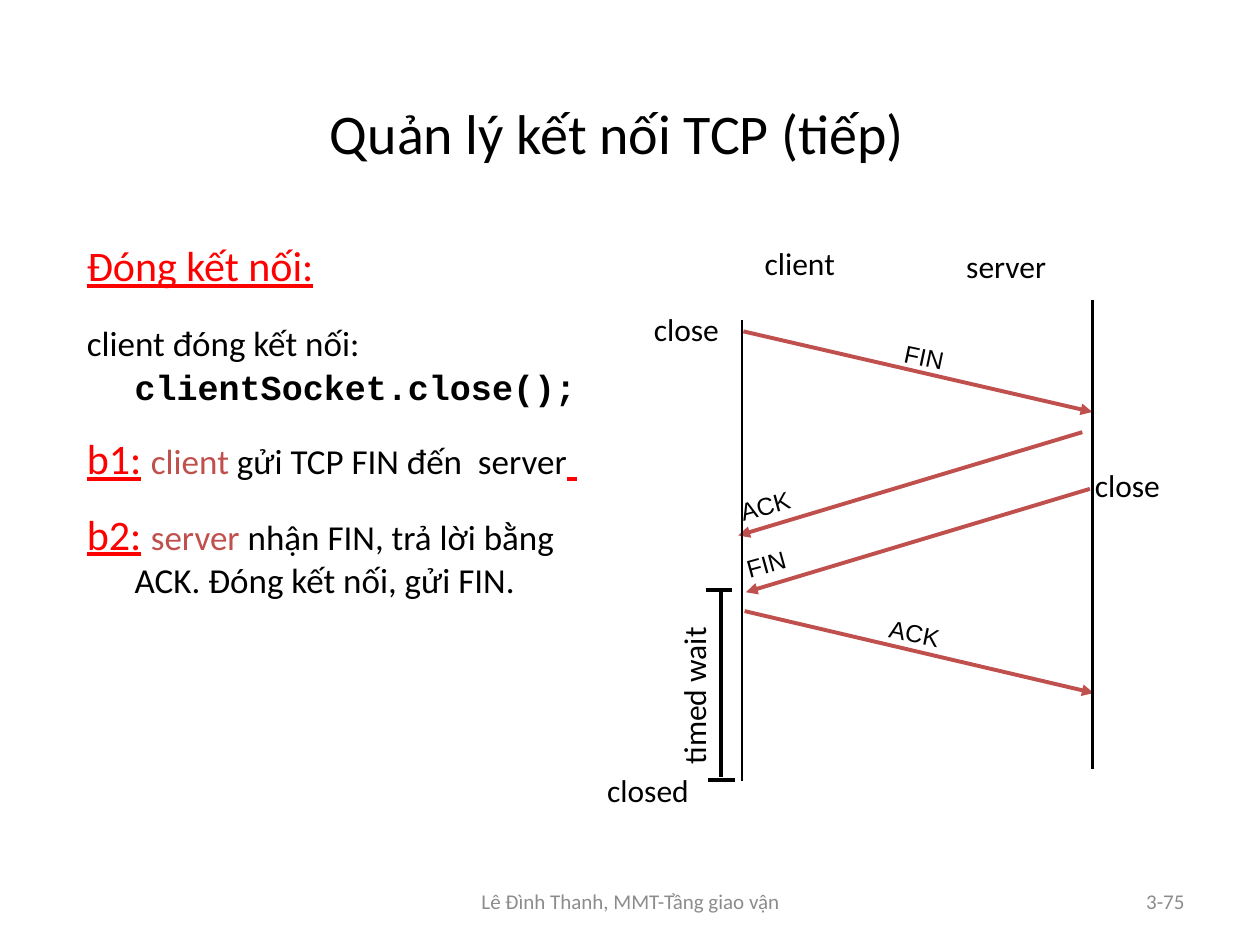
from dataclasses import dataclass
from typing import NamedTuple

from lxml.etree import SubElement
from pptx import Presentation
from pptx.dml.color import RGBColor
from pptx.enum.shapes import MSO_CONNECTOR as Connector
from pptx.enum.text import MSO_ANCHOR as Anchor, MSO_AUTO_SIZE as AutoSize, PP_ALIGN as Align
from pptx.oxml.ns import qn
from pptx.util import Inches, Pt


@dataclass(frozen=True)
class Theme:
    black: str = "000000"
    red: str = "FF0000"
    brick: str = "C0504D"
    gray: str = "8C8C8C"
    body_font: str = "Calibri"
    code_font: str = "Courier New"
    segment_font: str = "Arial"
    title: int = 32
    heading: int = 24
    body: int = 20
    label: int = 18
    segment: int = 14
    footer: int = 12
    thick: float = 2.25
    thin: float = 1.5
    paragraph_gap: float = 14.4
    hanging: float = 0.38


THEME = Theme()


class Run(NamedTuple):
    text: str
    size: int = THEME.body
    color: str = THEME.black
    font: str = THEME.body_font
    bold: bool = False
    underline: bool = False


class Box(NamedTuple):
    left: float
    top: float
    width: float
    height: float


class Label(NamedTuple):
    text: str
    box: Box
    rotation: float = 0


class Segment(NamedTuple):
    label: Label
    start: tuple[float, float]
    end: tuple[float, float]
    wrap: bool = False


class Stroke(NamedTuple):
    start: tuple[float, float]
    end: tuple[float, float]
    width: float = THEME.thick


def red_run(text: str) -> Run:
    return Run(text, THEME.heading, THEME.red, underline=True)


def add_text(slide, paragraphs: list[list[Run]], box: Box, *, align=Align.LEFT,
             anchor=Anchor.TOP, wrap: bool = True, grow: bool = False,
             rotation: float = 0, hanging: float = 0, gap: float = 0) -> None:
    shape = slide.shapes.add_textbox(*map(Inches, box))
    shape.rotation = rotation
    frame = shape.text_frame
    frame.word_wrap = wrap
    frame.auto_size = AutoSize.SHAPE_TO_FIT_TEXT if grow else AutoSize.NONE
    frame.vertical_anchor = anchor
    for index, runs in enumerate(paragraphs):
        paragraph = frame.add_paragraph() if index else frame.paragraphs[0]
        paragraph.alignment = align
        if index:
            paragraph.space_before = Pt(gap)
        if hanging:
            properties = paragraph._p.get_or_add_pPr()
            properties.set("marL", str(Inches(hanging)))
            properties.set("indent", str(-Inches(hanging)))
        for part in runs:
            run = paragraph.add_run()
            run.text = part.text
            run.font.size = Pt(part.size)
            run.font.name = part.font
            run.font.bold = part.bold
            run.font.underline = part.underline
            run.font.color.rgb = RGBColor.from_string(part.color)


def add_line(slide, stroke: Stroke, color: str, arrow: bool = False) -> None:
    connector = slide.shapes.add_connector(
        Connector.STRAIGHT, *map(Inches, stroke.start + stroke.end))
    connector.line.width = Pt(stroke.width)
    connector.line.color.rgb = RGBColor.from_string(color)
    if arrow:
        SubElement(connector.line._get_or_add_ln(), qn("a:tailEnd"), type="triangle")
    SubElement(connector._element.spPr, qn("a:effectLst"))


def add_label(slide, label: Label) -> None:
    add_text(slide, [[Run(label.text, THEME.label)]], label.box,
             rotation=label.rotation, wrap=False, grow=True)


def add_segment(slide, segment: Segment) -> None:
    add_line(slide, Stroke(segment.start, segment.end), THEME.brick, arrow=True)
    name = Run(segment.label.text, THEME.segment, font=THEME.segment_font)
    add_text(slide, [[name]], segment.label.box, rotation=segment.label.rotation,
             wrap=segment.wrap, grow=True)


FALLING, RISING = 11.8, 344.6

CLOSING_STEPS = [
    [red_run("Đóng kết nối:")],
    [Run("client đóng kết nối:"), Run(" ", THEME.heading),
     Run("clientSocket.close();", font=THEME.code_font, bold=True)],
    [red_run("b1:"), Run(" ", THEME.heading), Run("client", color=THEME.brick),
     Run(" gửi TCP FIN đến  server"), red_run(" ")],
    [red_run("b2:"), Run(" ", THEME.heading), Run("server", color=THEME.brick),
     Run(" nhận FIN, trả lời bằng ACK. Đóng kết nối, gửi FIN.")],
]

SEGMENTS = [
    Segment(Label("FIN", Box(7.08, 2.67, 0.56, 0.33), FALLING), (5.9, 2.63), (8.67, 3.27)),
    Segment(Label("ACK", Box(5.73, 3.53, 2.99, 0.33), RISING), (8.59, 3.43), (5.86, 4.25), True),
    Segment(Label("FIN", Box(5.78, 3.98, 2.99, 0.33), RISING), (8.65, 3.88), (5.92, 4.7), True),
    Segment(Label("ACK", Box(6.96, 4.86, 0.6, 0.33), FALLING), (5.91, 4.85), (8.68, 5.5)),
]

TIMELINES = [
    Stroke((5.89, 2.54), (5.89, 6.2), THEME.thin),
    Stroke((8.67, 2.38), (8.67, 6.1), THEME.thin),
]

TIMED_WAIT = [
    Stroke((5.72, 4.7), (5.72, 6.17)),
    Stroke((5.6, 4.68), (5.81, 4.68)),
    Stroke((5.62, 6.19), (5.83, 6.19)),
]

LABELS = [
    Label("client", Box(5.97, 1.89, 0.78, 0.37)),
    Label("server", Box(7.57, 1.91, 0.88, 0.37)),
    Label("close", Box(5.09, 2.41, 0.79, 0.4)),
    Label("close", Box(8.59, 3.65, 0.79, 0.4)),
    Label("closed", Box(4.72, 6.07, 0.94, 0.4)),
    Label("timed wait", Box(4.79, 5.25, 1.43, 0.4), 270),
]


def main() -> None:
    deck = Presentation()
    deck.slide_width, deck.slide_height = Inches(10), Inches(7.5)
    slide = deck.slides.add_slide(deck.slide_layouts[6])

    add_text(slide, [[Run("Quản lý kết nối TCP (tiếp)", THEME.title)]],
             Box(0.65, 0.56, 8.5, 0.98), align=Align.CENTER, anchor=Anchor.MIDDLE)
    add_text(slide, CLOSING_STEPS, Box(0.59, 1.85, 4.11, 3.78),
             hanging=THEME.hanging, gap=THEME.paragraph_gap)

    for segment in SEGMENTS:
        add_segment(slide, segment)
    for stroke in TIMELINES + TIMED_WAIT:
        add_line(slide, stroke, THEME.black)
    for label in LABELS:
        add_label(slide, label)

    for text, box, align in [
        ("Lê Đình Thanh, MMT-Tầng giao vận", Box(3.42, 6.95, 3.17, 0.4), Align.CENTER),
        ("3-75", Box(7.17, 6.95, 2.33, 0.4), Align.RIGHT),
    ]:
        add_text(slide, [[Run(text, THEME.footer, THEME.gray)]], box,
                 align=align, anchor=Anchor.MIDDLE)

    deck.save("out.pptx")


if __name__ == "__main__":
    main()
